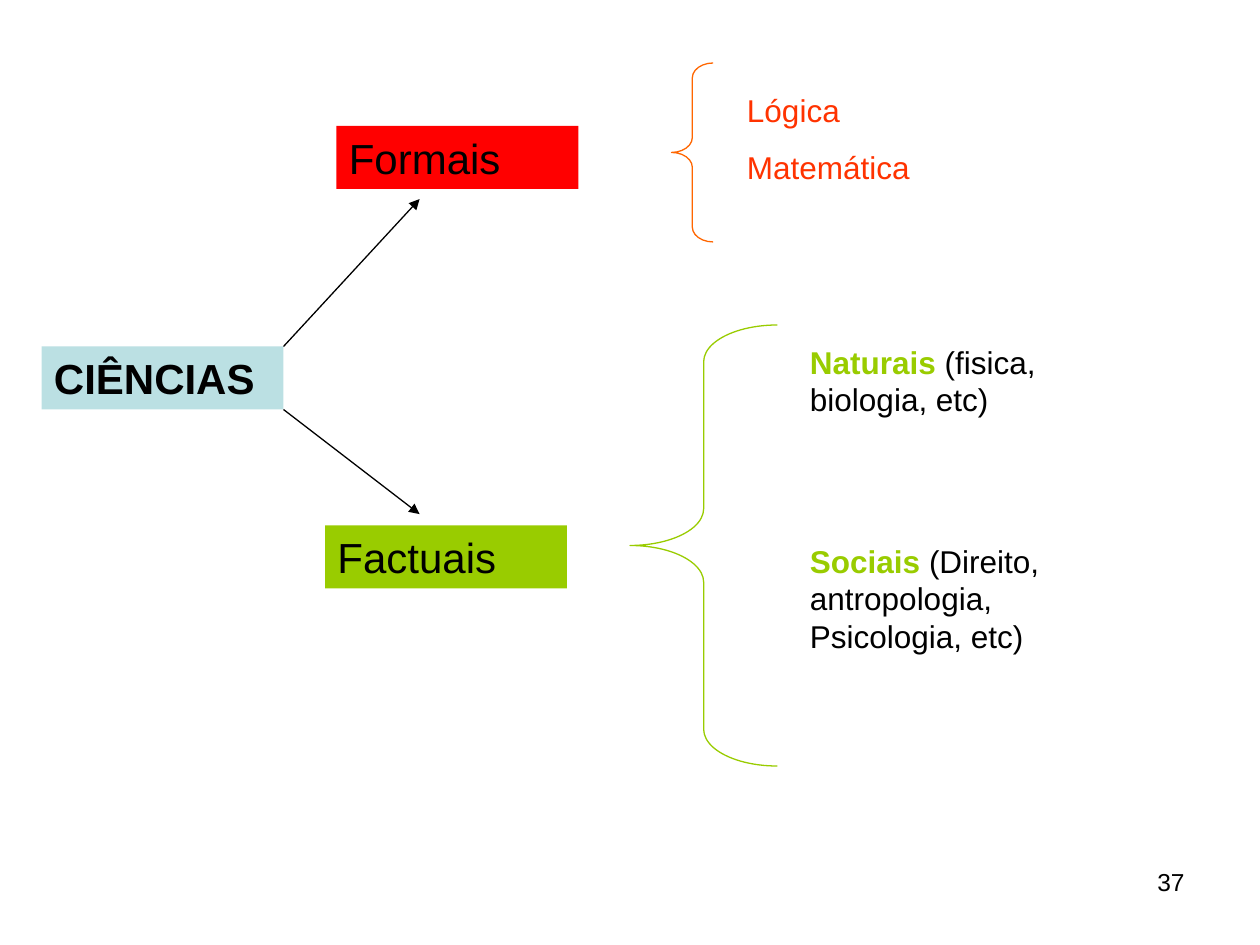
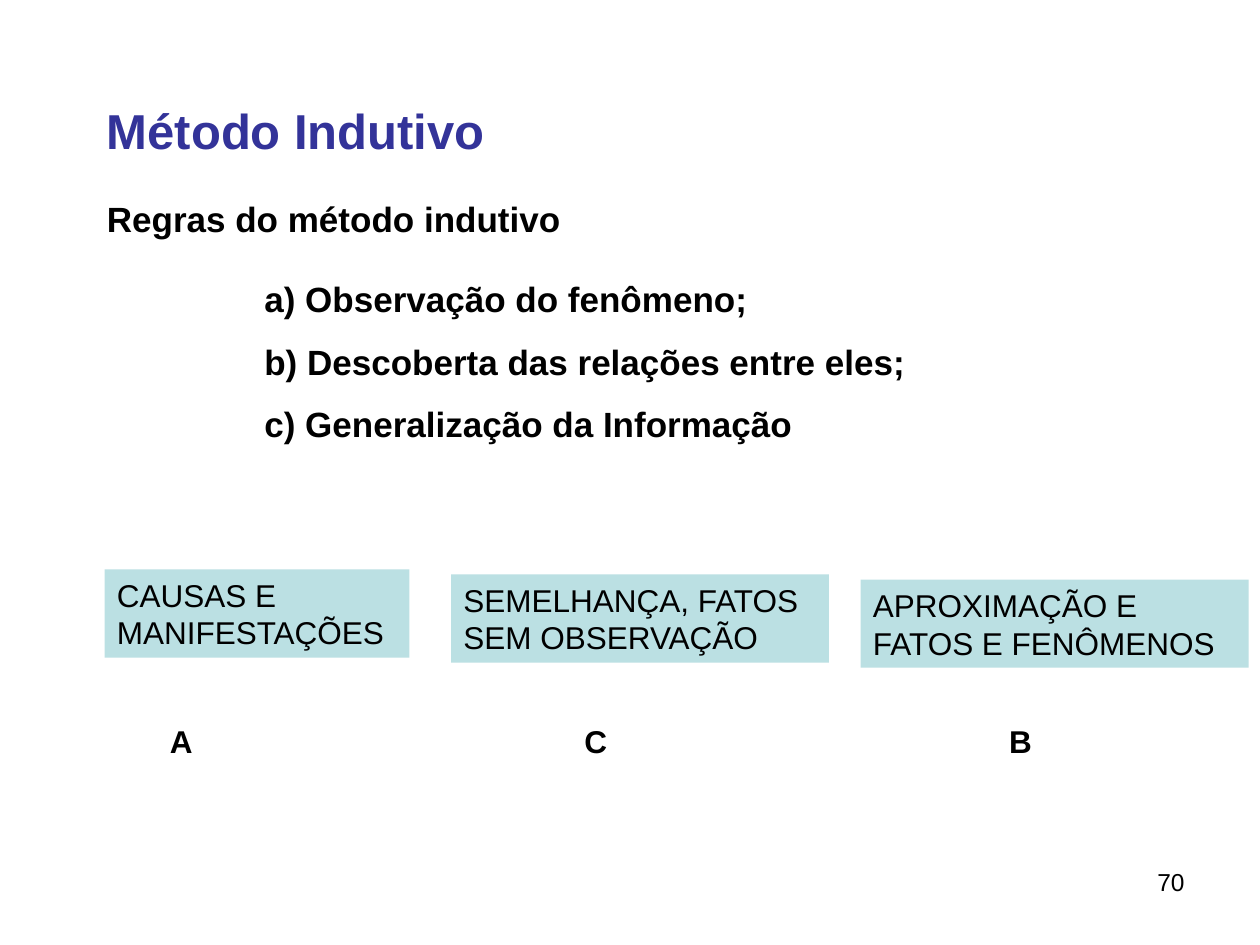
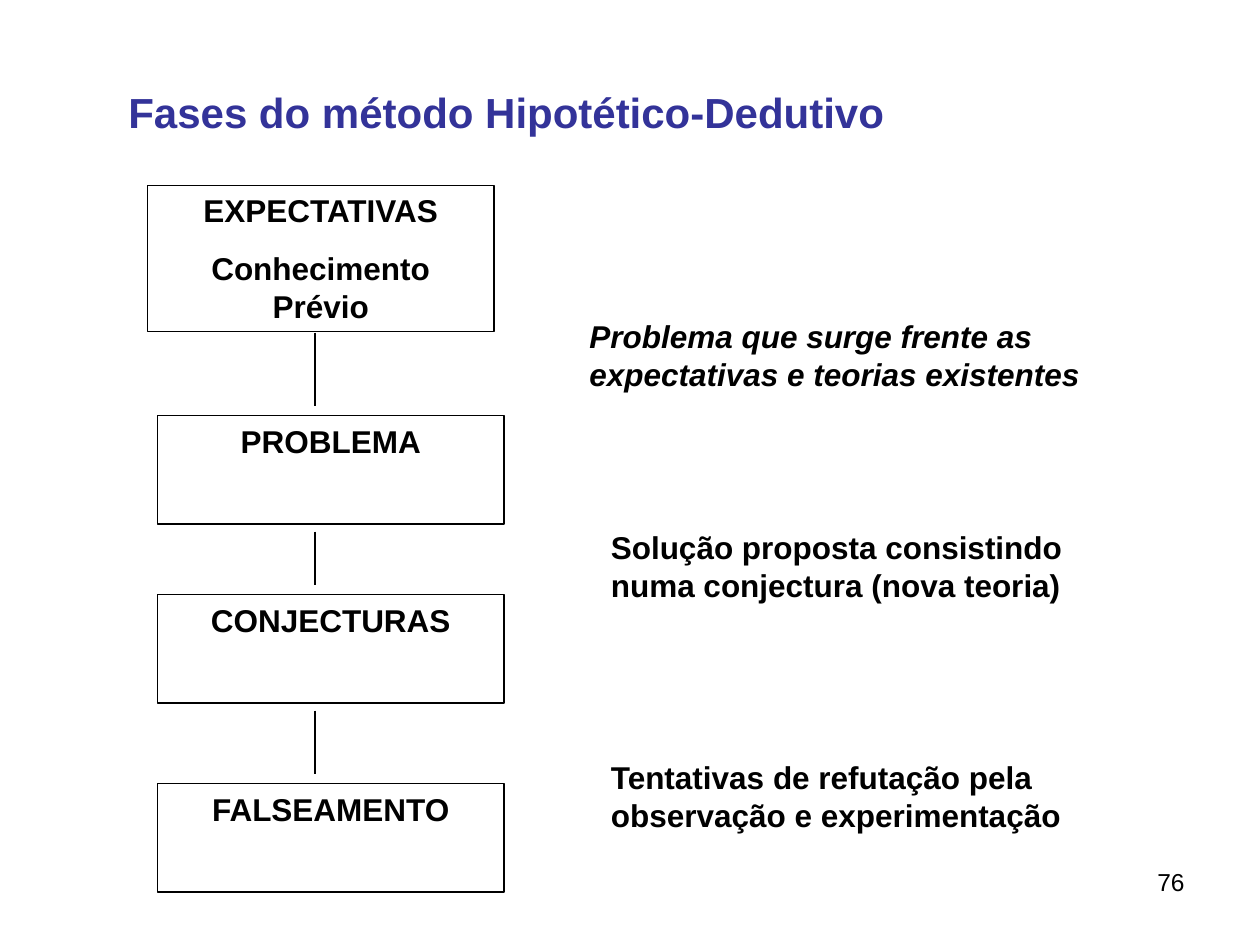
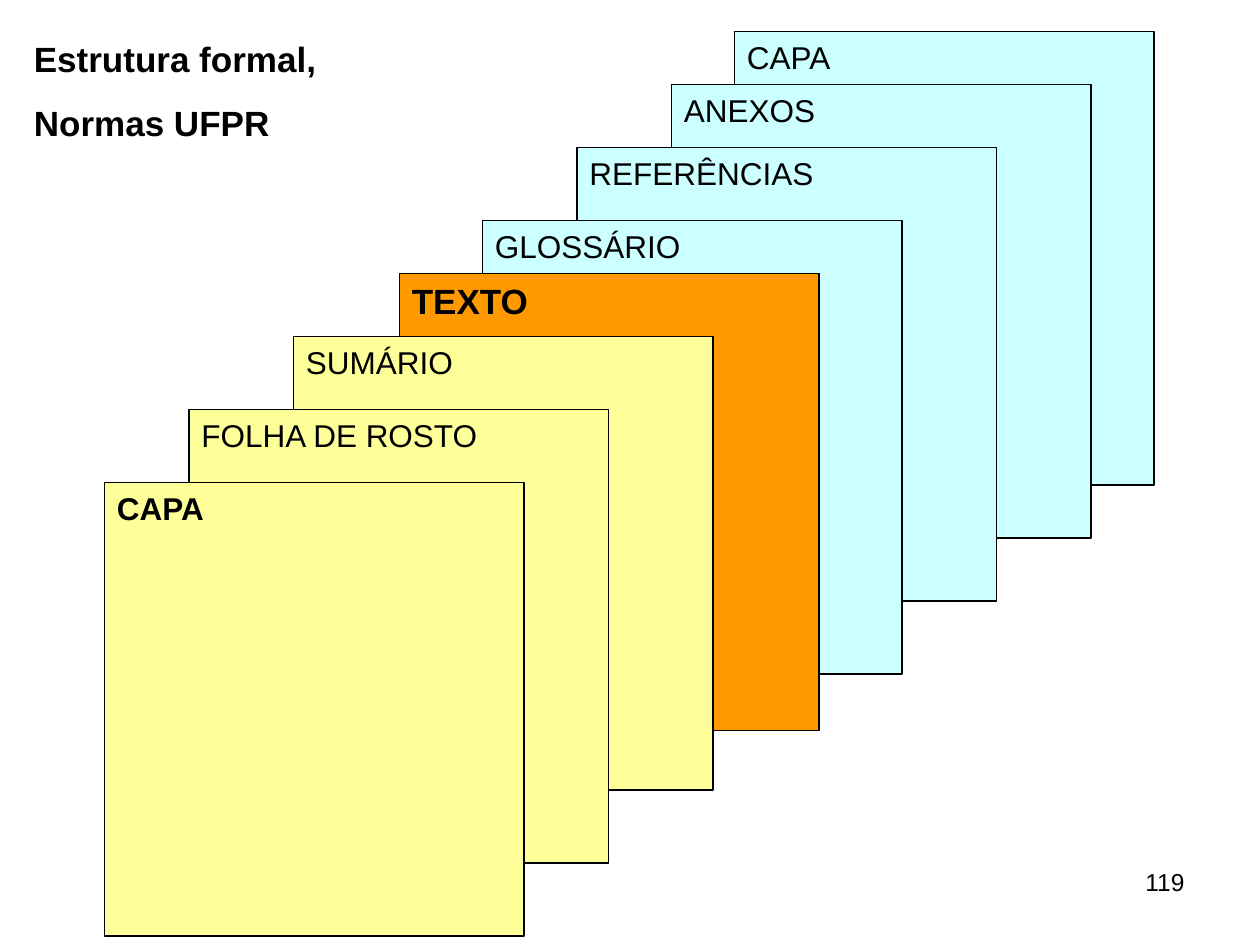
from dataclasses import dataclass
from typing import Optional

from lxml.etree import SubElement
from pptx import Presentation
from pptx.dml.color import RGBColor
from pptx.enum.shapes import MSO_CONNECTOR as Connector, MSO_SHAPE as Preset
from pptx.enum.text import MSO_ANCHOR as Anchor, PP_ALIGN as Align
from pptx.oxml.ns import qn
from pptx.shapes.autoshape import Shape
from pptx.slide import Slide
from pptx.util import Inches, Pt

FONT = "Arial"
LINE_WIDTH = Pt(0.75)
SPACING = 0.625  # space between paragraphs, as a share of the text size
COLORS = {
    "black": "000000",
    "title": "333399",
    "pale blue": "BBE0E3",
    "red": "FF0000",
    "green": "99CC00",
    "orange brace": "FF6600",
    "orange text": "FF3300",
    "front pages": "FFFF99",
    "body pages": "FF9900",
    "back pages": "CCFFFF",
}


@dataclass(frozen=True)
class Block:
    """Text at a place, with an optional coloured lead, fill and outline."""
    left: float
    top: float
    width: float
    height: float
    text: str
    size: float = 18
    bold: bool = False
    italic: bool = False
    color: str = "black"
    lead: str = ""
    fill: Optional[str] = None
    outlined: bool = False
    align: Align = Align.LEFT


@dataclass(frozen=True)
class Brace:
    left: float
    top: float
    width: float
    height: float
    color: str


@dataclass(frozen=True)
class Link:
    x1: float
    y1: float
    x2: float
    y2: float
    arrow: bool = False


def rgb(name: str) -> RGBColor:
    return RGBColor.from_string(COLORS[name])


def format_run(run, block: Block, color: str, bold: bool) -> None:
    run.font.name = FONT
    run.font.size = Pt(block.size)
    run.font.bold = bold
    run.font.italic = block.italic
    run.font.color.rgb = rgb(color)


def draw_block(slide: Slide, block: Block) -> Shape:
    place = [Inches(v) for v in (block.left, block.top, block.width, block.height)]
    if block.fill or block.outlined:
        shape = slide.shapes.add_shape(Preset.RECTANGLE, *place)
        shape.shadow.inherit = False
    else:
        shape = slide.shapes.add_textbox(*place)
    if block.fill:
        shape.fill.solid()
        shape.fill.fore_color.rgb = rgb(block.fill)
    else:
        shape.fill.background()
    if block.outlined:
        shape.line.color.rgb = rgb("black")
        shape.line.width = LINE_WIDTH
    else:
        shape.line.fill.background()

    frame = shape.text_frame
    frame.word_wrap = True
    frame.vertical_anchor = Anchor.TOP
    frame.text = block.lead or block.text
    for index, paragraph in enumerate(frame.paragraphs):
        paragraph.alignment = block.align
        if index:
            paragraph.space_before = Pt(SPACING * block.size)
        for run in paragraph.runs:
            format_run(run, block, block.color, block.bold or bool(block.lead))
    if block.lead:
        rest = frame.paragraphs[0].add_run()
        rest.text = block.text
        format_run(rest, block, "black", block.bold)
    return shape


def draw_brace(slide: Slide, brace: Brace) -> None:
    shape = slide.shapes.add_shape(
        Preset.LEFT_BRACE, Inches(brace.left), Inches(brace.top),
        Inches(brace.width), Inches(brace.height))
    shape.shadow.inherit = False
    shape.fill.background()
    shape.line.color.rgb = rgb(brace.color)
    shape.line.width = LINE_WIDTH
    # Each curve takes a twelfth of the height.
    shape.adjustments[0] = brace.height / 12 / brace.width


def draw_link(slide: Slide, link: Link) -> None:
    line = slide.shapes.add_connector(
        Connector.STRAIGHT, Inches(link.x1), Inches(link.y1),
        Inches(link.x2), Inches(link.y2))
    line.line.color.rgb = rgb("black")
    line.line.width = LINE_WIDTH
    properties = line._element.spPr
    if link.arrow:
        SubElement(properties.find(qn("a:ln")), qn("a:tailEnd"), type="triangle")
    SubElement(properties, qn("a:effectLst"))


def set_tabs(shape: Shape, *stops: float) -> None:
    properties = shape.text_frame.paragraphs[0]._p.get_or_add_pPr()
    tabs = SubElement(properties, qn("a:tabLst"))
    for stop in stops:
        SubElement(tabs, qn("a:tab"), pos=str(Inches(stop)), algn="l")


def add_numbered_slide(deck, number: int) -> Slide:
    slide = deck.slides.add_slide(deck.slide_layouts[6])
    draw_block(slide, Block(7.17, 6.83, 2.33, 0.52, str(number), 14, align=Align.RIGHT))
    return slide


def build_sciences(deck) -> None:
    slide = add_numbered_slide(deck, 37)
    for block in (
        Block(0.33, 2.75, 1.92, 0.5, "CIÊNCIAS", 24, bold=True, fill="pale blue"),
        Block(2.67, 1, 1.92, 0.5, "Formais", 24, fill="red"),
        Block(2.58, 4.17, 1.92, 0.5, "Factuais", 24, fill="green"),
        Block(5.83, 0.67, 1.75, 0.86, "Lógica\nMatemática", color="orange text"),
        Block(6.33, 2.67, 2.08, 0.7, " (fisica, biologia, etc)",
              lead="Naturais", color="green"),
        Block(6.33, 4.25, 2.08, 1, " (Direito, antropologia, Psicologia, etc)",
              lead="Sociais", color="green"),
    ):
        draw_block(slide, block)
    draw_brace(slide, Brace(5.33, 0.5, 0.33, 1.42, "orange brace"))
    draw_brace(slide, Brace(5, 2.58, 1.17, 3.5, "green"))
    draw_link(slide, Link(2.25, 2.75, 3.33, 1.58, arrow=True))
    draw_link(slide, Link(2.25, 3.25, 3.33, 4.08, arrow=True))


def build_inductive_method(deck) -> None:
    slide = add_numbered_slide(deck, 70)
    draw_block(slide, Block(0.75, 0.75, 8.75, 0.57, "Método Indutivo", 28,
                            bold=True, color="title"))
    draw_block(slide, Block(0.75, 1.52, 6.83, 0.44, "Regras do método indutivo", 20,
                            bold=True))
    rules = draw_block(slide, Block(
        2, 2.15, 6.17, 1.43,
        "a) Observação do fenômeno;\n"
        "b) Descoberta das relações entre eles;\n"
        "c) Generalização da Informação", 20, bold=True))
    rules.text_frame.paragraphs[-1].space_before = Pt(11.25)
    for left, top, width, text in (
        (0.83, 4.52, 2.42, "CAUSAS E MANIFESTAÇÕES"),
        (3.58, 4.56, 3, "SEMELHANÇA, FATOS SEM OBSERVAÇÃO"),
        (6.83, 4.6, 3.08, "APROXIMAÇÃO E FATOS E FENÔMENOS"),
    ):
        draw_block(slide, Block(left, top, width, 0.7, text, fill="pale blue"))
    letters = draw_block(slide, Block(1.25, 5.68, 8.08, 0.4, "A\tC\tB", bold=True))
    set_tabs(letters, 3.29, 6.66)


def build_hypothetical_deductive_phases(deck) -> None:
    slide = add_numbered_slide(deck, 76)
    draw_block(slide, Block(0.92, 0.64, 8.42, 0.5, "Fases do método Hipotético-Dedutivo",
                            24, bold=True, color="title"))
    for left, top, height, phase in (
        (1.17, 1.47, 1.16, "EXPECTATIVAS\nConhecimento Prévio"),
        (1.25, 3.3, 0.86, "PROBLEMA"),
        (1.25, 4.72, 0.86, "CONJECTURAS"),
        (1.25, 6.22, 0.86, "FALSEAMENTO"),
    ):
        draw_block(slide, Block(left, top, 2.75, height, phase, bold=True,
                                outlined=True, align=Align.CENTER))
    for start, end in ((2.64, 3.22), (4.22, 4.64), (5.64, 6.14)):
        draw_link(slide, Link(2.5, start, 2.5, end))
    for note in (
        Block(4.58, 2.47, 4.75, 0.7,
              "Problema que surge frente as expectativas e teorias existentes",
              bold=True, italic=True),
        Block(4.75, 4.14, 3.83, 0.7,
              "Solução proposta consistindo numa conjectura (nova teoria)", bold=True),
        Block(4.75, 5.97, 3.92, 0.7,
              "Tentativas de refutação pela observação e experimentação", bold=True),
    ):
        draw_block(slide, note)


def build_formal_structure(deck) -> None:
    slide = add_numbered_slide(deck, 119)
    for left, top, page, fill in (
        (5.83, 0.25, "CAPA", "back pages"),
        (5.33, 0.67, "ANEXOS", "back pages"),
        (4.58, 1.17, "REFERÊNCIAS", "back pages"),
        (3.83, 1.75, "GLOSSÁRIO", "back pages"),
        (3.17, 2.17, "TEXTO", "body pages"),
        (2.33, 2.67, "SUMÁRIO", "front pages"),
        (1.5, 3.25, "FOLHA DE ROSTO", "front pages"),
        (0.83, 3.83, "CAPA", "front pages"),
    ):
        is_body = fill == "body pages"
        is_front_cover = page == "CAPA" and fill == "front pages"
        draw_block(slide, Block(
            left, top, 3.33, 3.63 if is_body else 3.6, page, 20 if is_body else 18,
            bold=is_body or is_front_cover, fill=fill, outlined=True))
    draw_block(slide, Block(0.17, 0.25, 3.92, 0.94, "Estrutura formal,\nNormas UFPR", 20,
                            bold=True))


def main() -> None:
    deck = Presentation()
    deck.slide_width = Inches(10)
    deck.slide_height = Inches(7.5)
    build_sciences(deck)
    build_inductive_method(deck)
    build_hypothetical_deductive_phases(deck)
    build_formal_structure(deck)
    deck.save("out.pptx")


if __name__ == "__main__":
    main()
